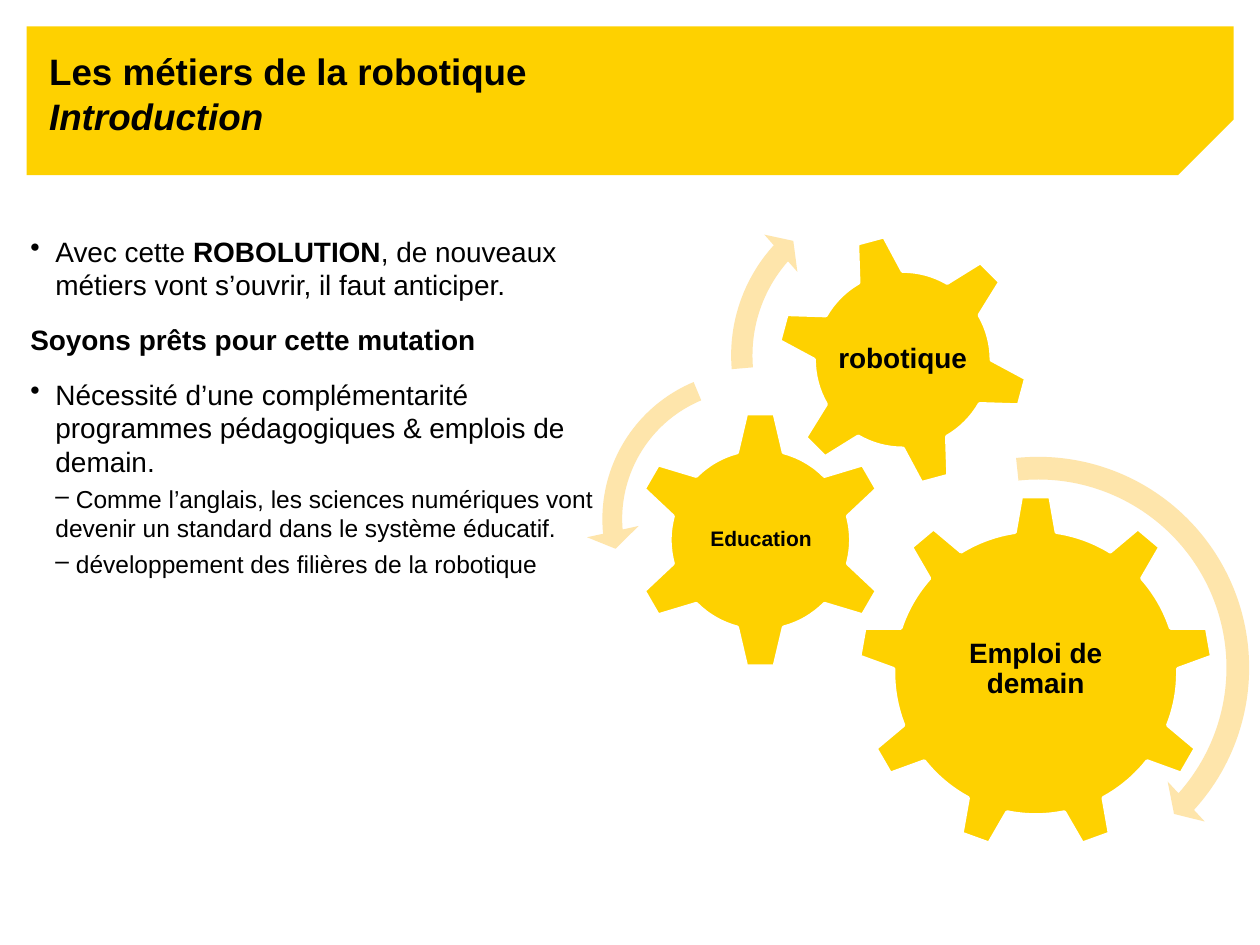
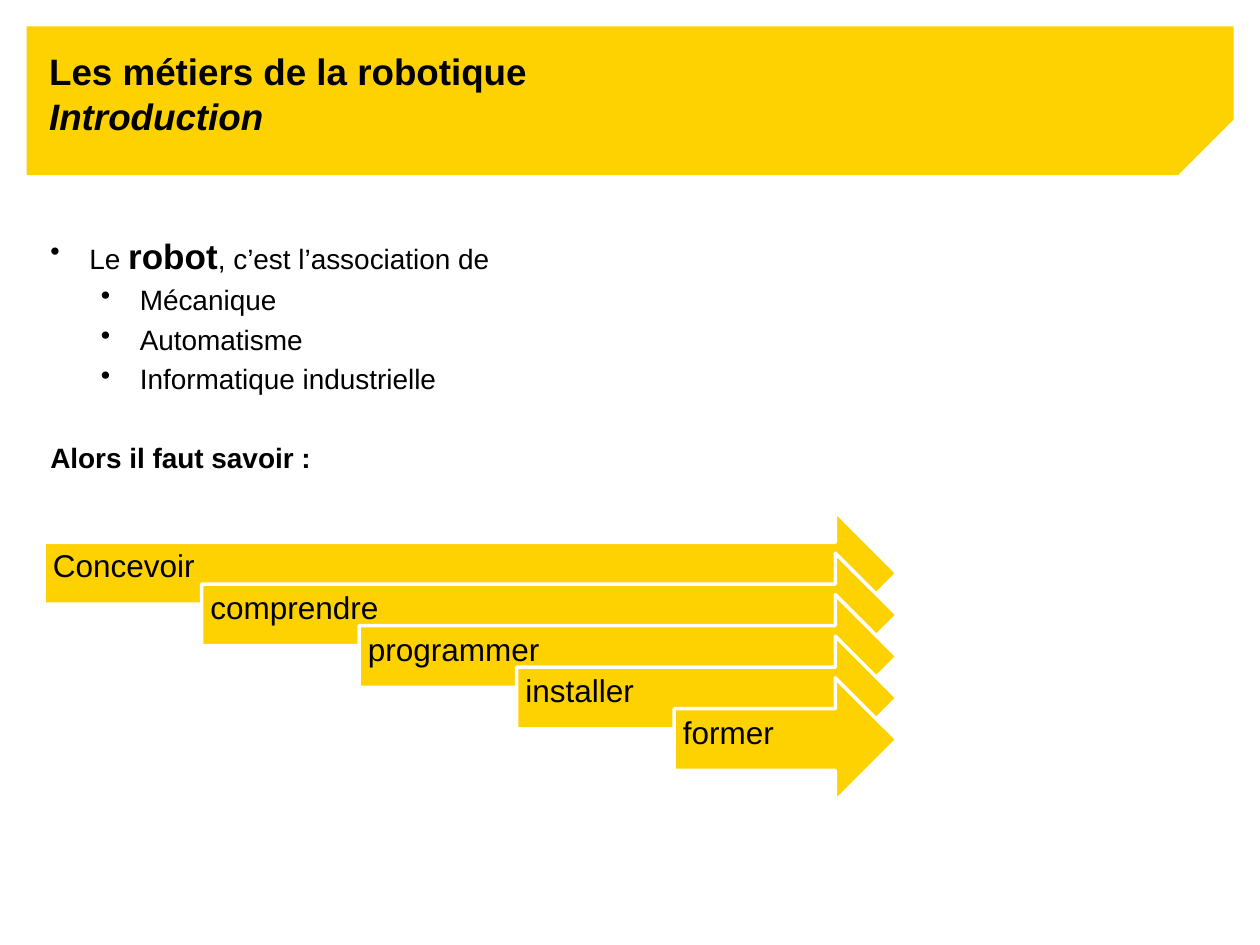
from lxml import etree
from pptx import Presentation
from pptx.dml.color import RGBColor
from pptx.enum.shapes import MSO_SHAPE
from pptx.enum.text import MSO_ANCHOR, PP_ALIGN
from pptx.oxml.ns import qn
from pptx.util import Inches, Pt

CENTER, LEFT = PP_ALIGN.CENTER, PP_ALIGN.LEFT
TOP, MIDDLE = MSO_ANCHOR.TOP, MSO_ANCHOR.MIDDLE
GEAR_6, GEAR_9 = MSO_SHAPE.GEAR_6, MSO_SHAPE.GEAR_9
TURN_RIGHT, TURN_LEFT = MSO_SHAPE.CIRCULAR_ARROW, MSO_SHAPE.LEFT_CIRCULAR_ARROW
RIGHT_ARROW, SNIPPED = MSO_SHAPE.RIGHT_ARROW, MSO_SHAPE.SNIP_1_RECTANGLE

COLORS = {"yellow": "FED100", "pale": "FEE5AB", "white": "FFFFFF", "text": "000000"}
FONT = "Arial"

# Content shared by the slides
TITLE, SUBTITLE = "Les métiers de la robotique", "Introduction"
BODY_INSETS = (0.2, 0.39, 0.2, 0)

# Paragraph styles: margin and indent in inches, spacing and size in points
STYLES = {
    "point": {"margin": 0.2, "indent": -0.2, "bullet": "•", "before": 12},
    "heading": {"before": 12, "bold": True},
    "dash": {"margin": 0.2, "bullet": "–", "before": 3.5, "size": 14},
    "lead": {"margin": 0.31, "indent": -0.31, "bullet": "•"},
    "item": {"margin": 0.71, "indent": -0.31, "bullet": "•", "before": 3.5},
    "question": {"before": 26, "bold": True},
}

# Body text: style and runs, each run a string or (string, bold size)
MUTATION_TEXT = [
    ("point", ["Avec cette ", ("ROBOLUTION", 16),
               ", de nouveaux métiers vont s’ouvrir, il faut anticiper."]),
    ("heading", ["Soyons prêts pour cette mutation"]),
    ("point", ["Nécessité d’une complémentarité programmes pédagogiques "
               "& emplois de demain."]),
    ("dash", [" Comme l’anglais, les sciences numériques vont devenir "
              "un standard dans le système éducatif."]),
    ("dash", [" développement des filières de la robotique"]),
]
ROBOT_TEXT = [
    ("lead", ["Le ", ("robot", 20), ", c’est l’association de"]),
    ("item", ["Mécanique"]),
    ("item", ["Automatisme"]),
    ("item", ["Informatique industrielle"]),
    ("question", ["Alors il faut savoir :"]),
]

# Gears: label, text size, preset, left, top, side, rotation, label box
GEARS = [
    ("Emploi de demain", 16, GEAR_9, 6.81, 3.93, 2.82, 0, (7.38, 4.59, 1.68, 1.45)),
    ("Education", 12, GEAR_6, 5.01, 3.26, 2.05, 0, (5.53, 3.78, 1.02, 1.01)),
    ("robotique", 16, GEAR_6, 6.16, 1.85, 2.01, 345, (6.6, 2.29, 1.13, 1.13)),
]
# Rotation arrows: preset, left, top, side, adjustments
TURNS = [
    (TURN_RIGHT, 6.44, 3.5, 3.6, (0.05, 2.99, 25.27, 158.39, 0.06)),
    (TURN_LEFT, 4.65, 2.81, 2.62, (0.06, 4.3, 104.89, 148.38, 0.08)),
    (TURN_RIGHT, 5.69, 1.41, 2.82, (0.06, 3.94, 133.14, 105.08, 0.07)),
]
SKILLS = ["Concevoir", "comprendre", "programmer", "installer", "former"]


def color(name):
    return RGBColor.from_string(COLORS[name])


def add_figure(slide, preset, box, fill="yellow", outline=True):
    shape = slide.shapes.add_shape(preset, *map(Inches, box))
    shape.shadow.inherit = False
    shape.fill.solid()
    shape.fill.fore_color.rgb = color(fill)
    if outline:
        shape.line.color.rgb = color("white")
        shape.line.width = Pt(2)
    else:
        shape.line.fill.background()
    return shape


def adjust(shape, values):
    for index, value in enumerate(values):
        shape.adjustments[index] = value


def add_frame(slide, box, insets, anchor=TOP):
    frame = slide.shapes.add_textbox(*map(Inches, box)).text_frame
    frame.word_wrap = True
    frame.vertical_anchor = anchor
    (frame.margin_left, frame.margin_top,
     frame.margin_right, frame.margin_bottom) = map(Inches, insets)
    return frame


def set_font(paragraph, size, bold=False):
    font = paragraph.font
    font.name, font.size, font.bold = FONT, Pt(size), bold
    font.color.rgb = color("text")


def add_label(slide, text, box, insets, size, bold=False, align=LEFT):
    paragraph = add_frame(slide, box, insets, MIDDLE).paragraphs[0]
    paragraph.text = text
    paragraph.alignment = align
    paragraph.line_spacing = 0.9
    set_font(paragraph, size, bold)


def add_body(slide, box, content):
    frame = add_frame(slide, box, BODY_INSETS)
    for index, (style_name, runs) in enumerate(content):
        style = STYLES[style_name]
        paragraph = frame.add_paragraph() if index else frame.paragraphs[0]
        properties = paragraph._p.get_or_add_pPr()
        properties.set("marL", str(Inches(style.get("margin", 0))))
        properties.set("indent", str(Inches(style.get("indent", 0))))
        if "bullet" in style:
            bullet = etree.SubElement(properties, qn("a:buChar"))
            bullet.set("char", style["bullet"])
        if index:
            paragraph.space_before = Pt(style["before"])
        set_font(paragraph, style.get("size", 16), style.get("bold", False))
        for part in runs:
            run = paragraph.add_run()
            if isinstance(part, str):
                run.text = part
            else:
                run.text, size = part
                run.font.bold, run.font.size = True, Pt(size)


def add_titled_slide(presentation):
    slide = presentation.slides.add_slide(presentation.slide_layouts[6])
    # Band with its lower right corner cut
    band = add_figure(slide, SNIPPED, (0.21, 0.21, 9.58, 1.18), outline=False)
    adjust(band, [0.375])
    band.rotation = 180
    band._element.spPr.xfrm.set("flipH", "1")
    # Title over subtitle
    paragraph = add_frame(slide, (0, 0, 10, 1.42), (0.39, 0.39, 3.15, 0)).paragraphs[0]
    set_font(paragraph, 21, True)
    paragraph.add_run().text = TITLE
    paragraph.add_line_break()
    subtitle = paragraph.add_run()
    subtitle.text = SUBTITLE
    subtitle.font.italic = True
    return slide


def build_mutation_slide(presentation):
    slide = add_titled_slide(presentation)
    add_body(slide, (0.04, 1.47, 5.12, 5.2), MUTATION_TEXT)
    for label, size, preset, left, top, side, rotation, label_box in GEARS:
        gear = add_figure(slide, preset, (left, top, side, side))
        gear.rotation = rotation
        add_label(slide, label, label_box, (0.02,) * 4, size, True, CENTER)
    for preset, left, top, side, adjustments in TURNS:
        turn = add_figure(slide, preset, (left, top, side, side), "pale", False)
        adjust(turn, adjustments)


def build_robot_slide(presentation):
    slide = add_titled_slide(presentation)
    # Stepped arrows that end at the same tip
    first_left, first_top, tip, height = 0.35, 4.06, 7.12, 0.98
    for index, skill in enumerate(SKILLS):
        left, top = first_left + 1.25 * index, first_top + 0.33 * index
        width = tip - left
        add_figure(slide, RIGHT_ARROW, (left, top, width, height))
        label_box = (left, top + height / 4, width - height / 4, height / 2)
        add_label(slide, skill, label_box, (0.07, 0.07, 0.28, 0.16), 18)
    add_body(slide, (0.2, 1.47, 4.8, 5.84), ROBOT_TEXT)


def main():
    presentation = Presentation()
    presentation.slide_width, presentation.slide_height = Inches(10), Inches(7.5)
    build_mutation_slide(presentation)
    build_robot_slide(presentation)
    presentation.save("out.pptx")


if __name__ == "__main__":
    main()
